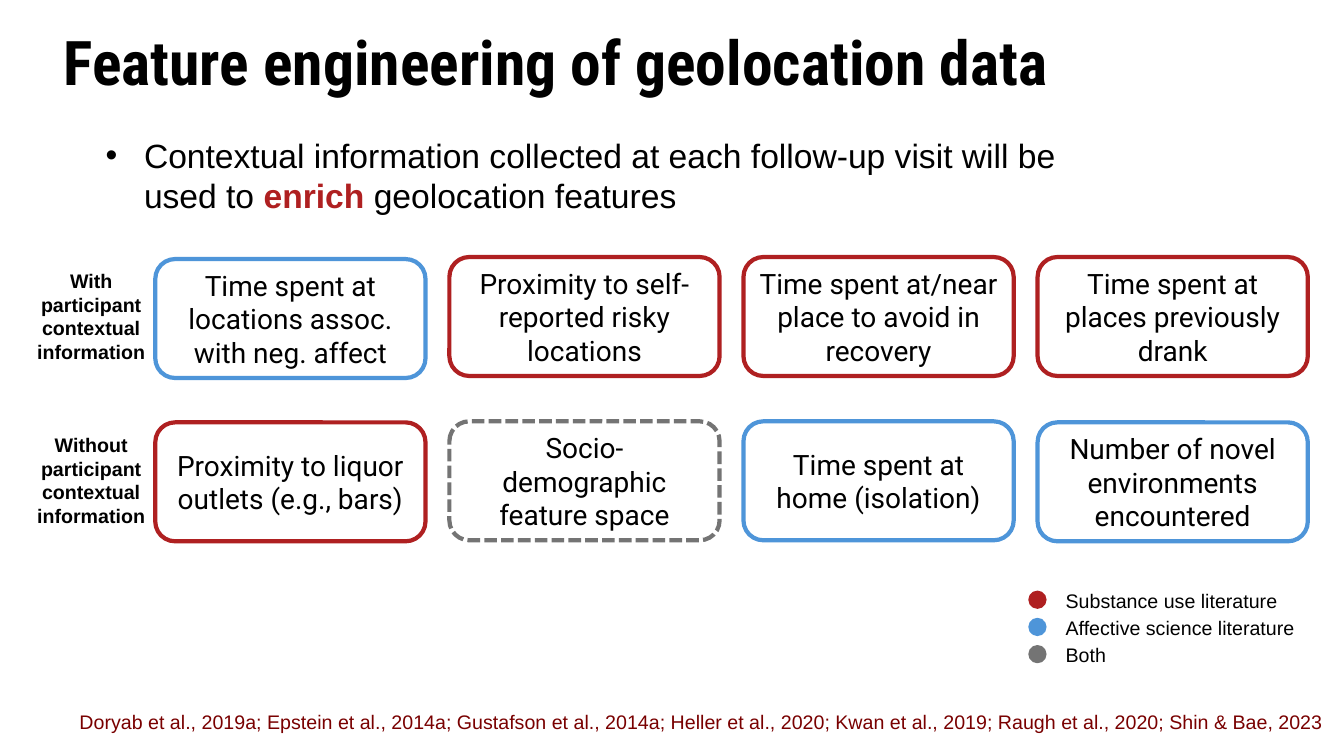
"""Build the slide on feature engineering of geolocation data."""
from lxml.etree import SubElement
from pptx import Presentation
from pptx.dml.color import RGBColor as Rgb
from pptx.enum.dml import MSO_LINE as Dash
from pptx.enum.shapes import MSO_SHAPE as Kind
from pptx.enum.text import MSO_ANCHOR as Anchor, PP_ALIGN as Align
from pptx.oxml.ns import qn
from pptx.util import Inches, Pt

COLORS = {"use": "AF2021", "affect": "4E95D9", "both": "747474",
          "text": "000000", "cite": "790000"}
TITLE = "Feature engineering of geolocation data"
POINT = [
    ("Contextual information collected at each follow-up visit will be used to ", "text", False),
    ("enrich", "use", True),
    (" geolocation features", "text", False),
]
ROWS = [
    ("With participant contextual information", [
        ("Time spent at locations assoc. with neg. affect", "affect", 0.02),
        ("Proximity to self-reported risky locations", "use", 0),
        ("Time spent at/near place to avoid in recovery", "use", 0),
        ("Time spent at places previously drank", "use", 0),
    ]),
    ("Without participant contextual information", [
        ("Proximity to liquor outlets (e.g., bars)", "use", 0.01),
        ("Socio-demographic feature space", "both", 0),
        ("Time spent at home (isolation)", "affect", 0),
        ("Number of novel environments encountered", "affect", 0.01),
    ]),
]
LEGEND = [("Substance use literature", "use"),
          ("Affective science literature", "affect"),
          ("Both", "both")]
CITE = ("Doryab et al., 2019a; Epstein et al., 2014a; Gustafson et al., 2014a; "
        "Heller et al., 2020; Kwan et al., 2019; Raugh et al., 2020; Shin & Bae, 2023")

WIDE, HIGH = 13.33, 7.5
LEFT, TOP = 1.54, 2.55
COL, ROW = 2.917, 1.63
BOX_W, BOX_H = 2.68, 1.18
KEY_X, KEY_Y, KEY_STEP, DOT = 10.21, 5.79, 0.27, 0.16


def place(shape, *area):
    """Set left, top, width and height in inches."""
    shape.left, shape.top, shape.width, shape.height = map(Inches, area)


def write(frame, runs, size, font="Arial", align=Align.LEFT):
    """Write (text, colour, bold) runs into the first paragraph."""
    frame.word_wrap = True
    para = frame.paragraphs[0]
    para.alignment = align
    for text, color, bold in runs:
        run = para.add_run()
        run.text = text
        run.font.name, run.font.size, run.font.bold = font, Pt(size), bold
        run.font.color.rgb = Rgb.from_string(COLORS[color])
    return para


def label(slide, area, runs, size, align=Align.LEFT):
    """Add a text box."""
    box = slide.shapes.add_textbox(*map(Inches, area))
    return write(box.text_frame, runs, size, align=align)


def outline(slide, kind, area, color, width):
    """Add an unfilled shape with a coloured line."""
    shape = slide.shapes.add_shape(kind, *map(Inches, area))
    shape.shadow.inherit = False
    shape.fill.background()
    shape.line.color.rgb = Rgb.from_string(COLORS[color])
    shape.line.width = Pt(width)
    return shape


def bullet(para, indent):
    """Give a paragraph a hanging round bullet."""
    props = para._p.get_or_add_pPr()
    props.set("marL", str(Inches(indent)))
    props.set("indent", str(-Inches(indent)))
    SubElement(props, qn("a:buFont")).set("typeface", "Arial")
    SubElement(props, qn("a:buChar")).set("char", "•")


def main():
    """Lay out and save the slide."""
    deck = Presentation()
    deck.slide_width, deck.slide_height = Inches(WIDE), Inches(HIGH)
    slide = deck.slides.add_slide(deck.slide_layouts[5])

    title = slide.shapes.title
    place(title, 0.4, 0.19, 10.23, 0.84)
    frame = title.text_frame
    write(frame, [(TITLE, "text", True)], 44, "Roboto Condensed", Align.CENTER)
    frame.word_wrap = False
    frame.vertical_anchor = Anchor.TOP

    bullet(label(slide, (0.95, 1.29, 9.85, 0.91), POINT, 24), 0.38)

    for r, (name, boxes) in enumerate(ROWS):
        top = TOP + r * ROW
        label(slide, (0.17, top + 0.07, 1.47, 1.04), [(name, "text", True)], 14, Align.CENTER)
        for c, (text, color, drop) in enumerate(boxes):
            area = LEFT + c * COL, top + drop, BOX_W, BOX_H
            box = outline(slide, Kind.ROUNDED_RECTANGLE, area, color, 3)
            if color == "both":
                box.line.dash_style = Dash.SQUARE_DOT
            box.text_frame.vertical_anchor = Anchor.MIDDLE
            write(box.text_frame, [(text, "text", False)], 20, "Roboto", Align.CENTER)

    for i, (text, color) in enumerate(LEGEND):
        top = KEY_Y + i * KEY_STEP
        label(slide, (KEY_X + 0.26, top, BOX_W, 0.34), [(text, "text", False)], 14)
        dot = outline(slide, Kind.OVAL, (KEY_X, top + DOT / 2, DOT, DOT), color, 1.5)
        dot.fill.solid()
        dot.fill.fore_color.rgb = Rgb.from_string(COLORS[color])

    label(slide, (0.69, 6.99, WIDE - 0.69, 0.34), [(CITE, "cite", False)], 14)
    deck.save("out.pptx")


if __name__ == "__main__":
    main()
